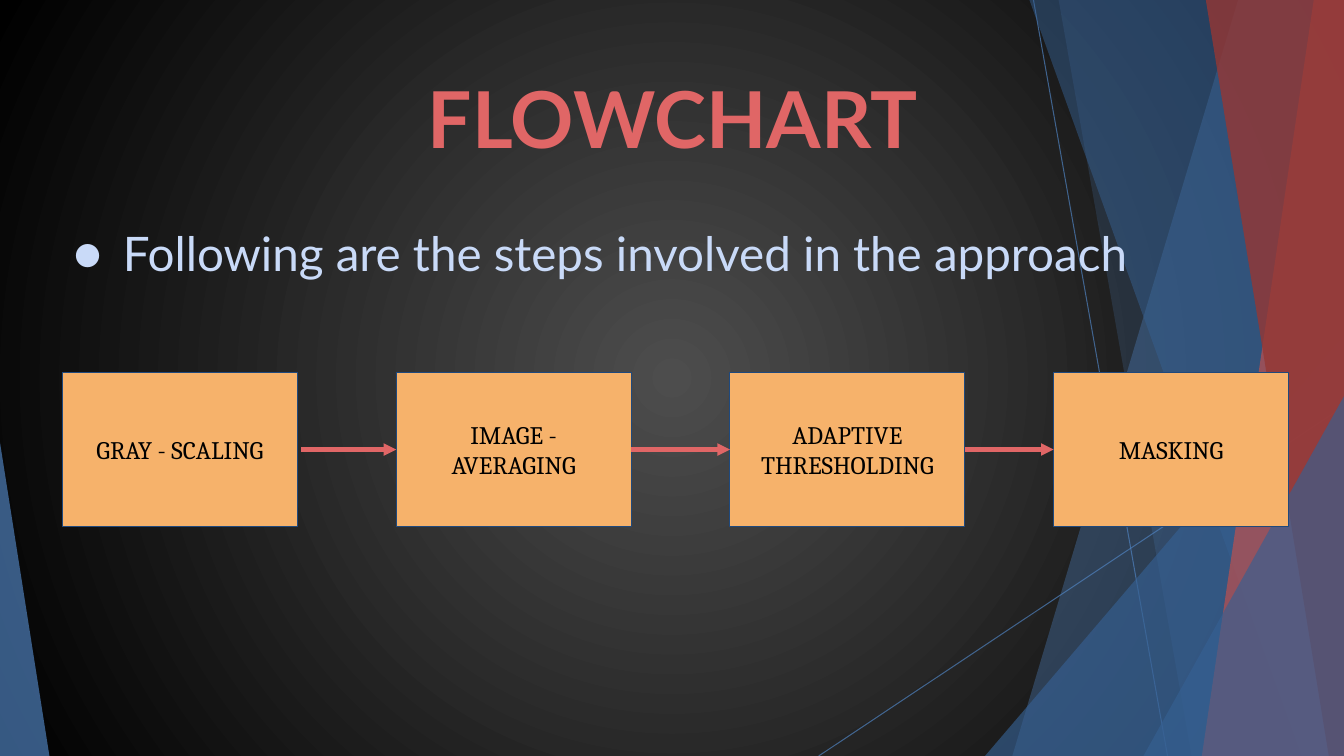
from dataclasses import dataclass

from lxml import etree
from pptx import Presentation
from pptx.dml.color import RGBColor
from pptx.enum.shapes import MSO_CONNECTOR, MSO_SHAPE
from pptx.enum.text import MSO_ANCHOR, PP_ALIGN
from pptx.oxml.ns import qn
from pptx.util import Inches, Pt

LINE = MSO_CONNECTOR.STRAIGHT
RECT = MSO_SHAPE.RECTANGLE
WEDGE = MSO_SHAPE.ISOSCELES_TRIANGLE
MIDDLE = MSO_ANCHOR.MIDDLE
TOP = MSO_ANCHOR.TOP
CENTER = PP_ALIGN.CENTER
LEFT = PP_ALIGN.LEFT


@dataclass(frozen=True)
class Theme:
    glow: str = "4D4D4D"
    night: str = "000000"
    blue: str = "4F81BD"
    deep: str = "366092"
    red: str = "C0504D"
    wine: str = "953734"
    coral: str = "E06666"
    pale: str = "C9DAF8"
    sand: str = "F6B26B"
    edge: str = "1F497D"
    ink: str = "000000"
    sans: str = "Lato"
    serif: str = "Cambria"
    title: int = 56
    body: int = 34
    label: int = 18
    thin: float = 0.75
    thick: float = 3


T = Theme()
WIDE, HIGH = 13.33, 7.5

TITLE = "FLOWCHART"
LEAD = "Following are the steps involved in the approach"
STEPS = [
    ("GRAY - SCALING", 0.62),
    ("IMAGE - AVERAGING", 3.93),
    ("ADAPTIVE THRESHOLDING", 7.24),
    ("MASKING", 10.45),
]
STARTS = [2.99, 6.26, 9.57]
STEP_TOP, STEP_WIDE, STEP_HIGH = 3.7, 2.33, 1.52

RAYS = [(10.25, 0, 11.58, HIGH), (WIDE, 4.03, 8.12, HIGH)]
DECOR = [
    ("band", (12.28, 10.04), T.blue, 36),
    ("band", (10.5, 11.82), T.blue, 20),
    ("wedge", (9.77, 3.33, WIDE, 1), T.deep, 65),
    ("band", (10.21, 12.91), T.deep, 49),
    ("band", (13.03, 11.92), T.red, 69),
    ("band", (11.96, 13.18), T.wine, 80),
    ("wedge", (11.34, 3.93, WIDE, 1), T.deep, 65),
    ("wedge", (0, 4.39, 0.49, 0), T.blue, 69),
]


def rgb(code):
    return RGBColor.from_string(code)


def fade(shape, alpha):
    tint = next(shape._element.spPr.iter(qn("a:srgbClr")))
    etree.SubElement(tint, qn("a:alpha")).set("val", str(alpha * 1000))


def paint(shape, color):
    shape.shadow.inherit = False
    shape.fill.solid()
    shape.fill.fore_color.rgb = rgb(color)
    shape.line.fill.background()


def link(shapes, ends, color, width):
    x1, y1, x2, y2 = map(Inches, ends)
    line = shapes.add_connector(LINE, x1, y1, x2, y2)
    line.line.color.rgb = rgb(color)
    line.line.width = Pt(width)
    etree.SubElement(line._element.spPr, qn("a:effectLst"))
    return line


def band(shapes, geom):
    head, foot = geom
    pen = shapes.build_freeform(Inches(head), 0)
    rest = [(WIDE, 0), (WIDE, HIGH), (foot, HIGH)]
    pen.add_line_segments([(Inches(x), Inches(y)) for x, y in rest], close=True)
    return pen.convert_to_shape()


def wedge(shapes, geom):
    left, top, right, peak = geom
    shape = shapes.add_shape(
        WEDGE, Inches(left), Inches(top), Inches(right - left), Inches(HIGH - top)
    )
    shape.adjustments[0] = peak
    return shape


def write(shape, text, font, size, color, align, anchor, pad=0.05, bold=False):
    frame = shape.text_frame
    frame.word_wrap = True
    frame.vertical_anchor = anchor
    frame.margin_left = frame.margin_right = Inches(0.1)
    frame.margin_top = frame.margin_bottom = Inches(pad)
    para = frame.paragraphs[0]
    para.alignment = align
    run = para.add_run()
    run.text = text
    run.font.name = font
    run.font.size = Pt(size)
    run.font.bold = bold
    run.font.color.rgb = rgb(color)
    return para


def bullet(para, mark, color, font):
    props = para._p.get_or_add_pPr()
    props.set("marL", str(Inches(0.5)))
    props.set("indent", str(Inches(-0.49)))
    tint = etree.SubElement(props, qn("a:buClr"))
    etree.SubElement(tint, qn("a:srgbClr")).set("val", color)
    etree.SubElement(props, qn("a:buFont")).set("typeface", font)
    etree.SubElement(props, qn("a:buChar")).set("char", mark)


def backdrop(slide):
    fill = slide.background.fill
    fill.gradient()
    for stop, color in zip(fill.gradient_stops, (T.glow, T.night)):
        stop.color.rgb = rgb(color)
    grad = next(slide.element.iter(qn("a:gradFill")))
    grad.remove(grad.find(qn("a:lin")))
    round_ = etree.SubElement(grad, qn("a:path"))
    round_.set("path", "circle")
    focus = etree.SubElement(round_, qn("a:fillToRect"))
    for side in "ltrb":
        focus.set(side, "50000")


def main():
    deck = Presentation()
    deck.slide_width, deck.slide_height = Inches(WIDE), Inches(HIGH)
    slide = deck.slides.add_slide(deck.slide_layouts[6])
    shapes = slide.shapes
    backdrop(slide)

    for ends in RAYS:
        fade(link(shapes, ends, T.blue, T.thin), 69)
    makers = {"band": band, "wedge": wedge}
    for kind, geom, color, alpha in DECOR:
        shape = makers[kind](shapes, geom)
        paint(shape, color)
        fade(shape, alpha)

    head = shapes.add_textbox(Inches(1.97), Inches(0.65), Inches(9.4), Inches(1.44))
    write(head, TITLE, T.sans, T.title, T.coral, CENTER, TOP, bold=True)
    lead = shapes.add_textbox(Inches(0.62), Inches(2.17), Inches(11.5), Inches(0.7))
    para = write(lead, LEAD, T.sans, T.body, T.pale, LEFT, TOP)
    bullet(para, "●", T.pale, T.sans)

    for text, left in STEPS:
        box = shapes.add_shape(
            RECT, Inches(left), Inches(STEP_TOP), Inches(STEP_WIDE), Inches(STEP_HIGH)
        )
        paint(box, T.sand)
        box.line.color.rgb = rgb(T.edge)
        box.line.width = Pt(T.thin)
        write(box, text, T.serif, T.label, T.ink, CENTER, MIDDLE, pad=0.1)

    mid = STEP_TOP + STEP_HIGH / 2
    for start, (_, stop) in zip(STARTS, STEPS[1:]):
        arrow = link(shapes, (start, mid, stop, mid), T.coral, T.thick)
        tip = etree.SubElement(arrow.line._get_or_add_ln(), qn("a:tailEnd"))
        tip.set("type", "triangle")

    deck.save("out.pptx")


if __name__ == "__main__":
    main()
